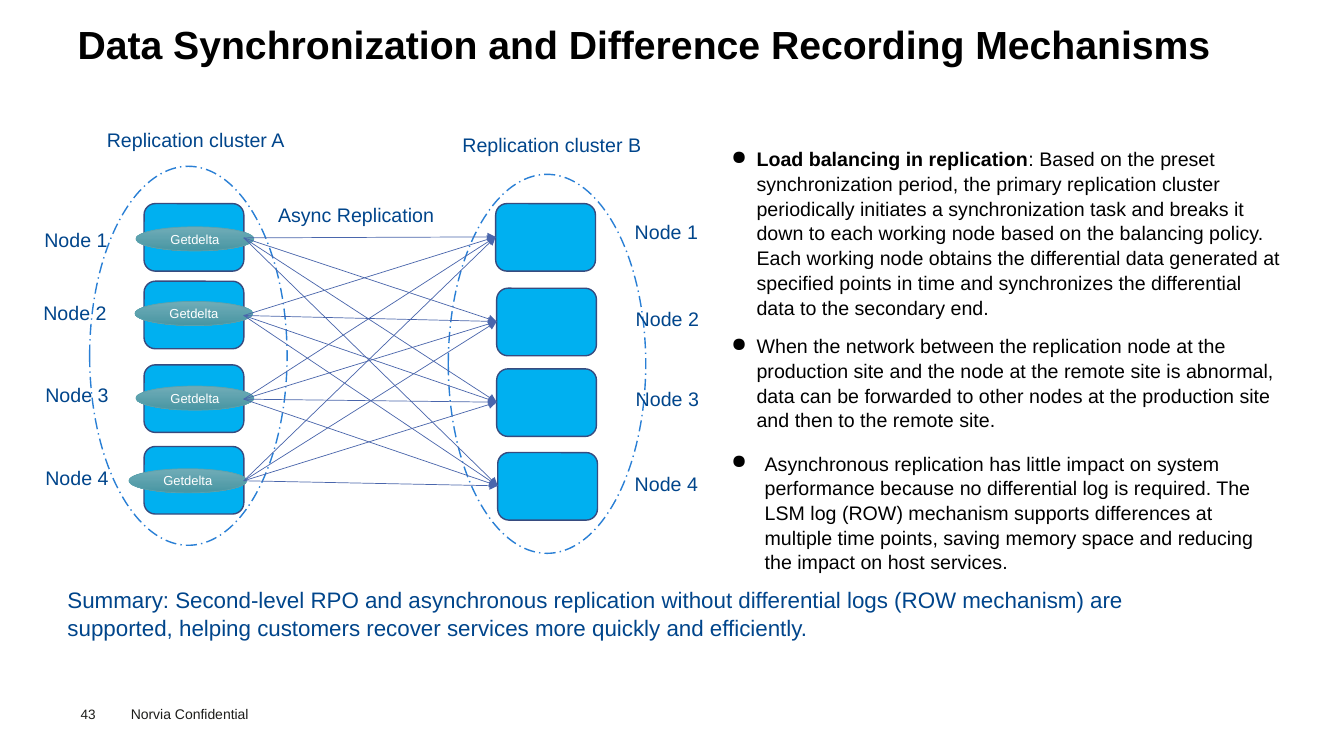
from itertools import product

from lxml.etree import SubElement
from pptx import Presentation
from pptx.dml.color import RGBColor
from pptx.enum.dml import MSO_LINE
from pptx.enum.shapes import MSO_CONNECTOR, MSO_SHAPE
from pptx.enum.text import MSO_ANCHOR, PP_ALIGN
from pptx.oxml.ns import qn
from pptx.util import Inches, Pt

BLACK, WHITE, NAVY, GREY = "000000", "FFFFFF", "00458B", "1D1D1B"
LABEL_INSETS = (0.16, 0.08, 0.16, 0.08)


def rgb(value):
    return RGBColor.from_string(value)


class SlideBuilder:
    font = "Arial"

    def __init__(self, slide):
        self.s = slide

    def add_runs(self, p, runs, size, color):
        """Add (text, bold) runs to a paragraph."""
        for text, bold in runs:
            r = p.add_run()
            r.text = text
            style = {"name": self.font, "size": Pt(size), "bold": bold}
            for key, value in style.items():
                setattr(r.font, key, value)
            r.font.color.rgb = rgb(color)

    def frame(self, tf, insets, wrap=True, anchor=MSO_ANCHOR.TOP):
        style = {"word_wrap": wrap, "vertical_anchor": anchor}
        sides = ("left", "top", "right", "bottom")
        style.update({f"margin_{side}": Inches(v) for side, v in zip(sides, insets)})
        for key, value in style.items():
            setattr(tf, key, value)

    def text(self, box, text, size, color, insets=LABEL_INSETS, bold=False, spacing=None):
        tf = self.s.shapes.add_textbox(*map(Inches, box)).text_frame
        self.frame(tf, insets)
        p = tf.paragraphs[0]
        p.line_spacing = spacing
        self.add_runs(p, [(text, bold)], size, color)

    def label(self, x, y, width, text):
        self.text((x, y, width, 0.35), text, 14, NAVY, spacing=0.8)

    def bullets(self, box, items, size, color):
        tf = self.s.shapes.add_textbox(*map(Inches, box)).text_frame
        self.frame(tf, (0.13, 0.07, 0.13, 0.07))
        for i, (indent, before, runs) in enumerate(items):
            p = tf.add_paragraph() if i else tf.paragraphs[0]
            pPr = p._p.get_or_add_pPr()
            pPr.set("marL", str(Inches(indent)))
            pPr.set("indent", str(-Inches(indent)))
            SubElement(pPr, qn("a:buChar")).set("char", "●")
            p.line_spacing = 1.05
            p.space_before = Pt(before)
            self.add_runs(p, runs, size, color)

    def shape(self, kind, box, fill, line, width, dash=None):
        sp = self.s.shapes.add_shape(kind, *map(Inches, box))
        sp.shadow.inherit = False
        if isinstance(fill, str):
            sp.fill.solid()
            sp.fill.fore_color.rgb = rgb(fill)
        else:
            sp.fill.gradient()
            sp.fill.gradient_angle = 270
            for stop, color in zip(sp.fill.gradient_stops, fill):
                stop.color.rgb = rgb(color)
        sp.line.color.rgb = rgb(line)
        sp.line.width = Pt(width)
        if dash:
            sp.line.dash_style = dash
        return sp

    def pill(self, box, text):
        sp = self.shape(MSO_SHAPE.OVAL, box, ("70ACB7", "4896A3"), "5AA2AE", 0.5)
        tf = sp.text_frame
        self.frame(tf, (0, 0, 0, 0), wrap=False, anchor=MSO_ANCHOR.MIDDLE)
        p = tf.paragraphs[0]
        p.alignment = PP_ALIGN.CENTER
        self.add_runs(p, [(text, False)], 9.3, WHITE)

    def arrow(self, start, end):
        cxn = self.s.shapes.add_connector(
            MSO_CONNECTOR.STRAIGHT, *map(Inches, (*start, *end)))
        cxn.line.color.rgb = rgb("4A66AC")
        cxn.line.width = Pt(0.5)
        spPr = cxn._element.spPr
        SubElement(spPr.find(qn("a:ln")), qn("a:tailEnd")).set("type", "triangle")
        SubElement(spPr, qn("a:effectLst"))


def main():
    prs = Presentation()
    prs.slide_width, prs.slide_height = Inches(13.34), Inches(7.5)
    b = SlideBuilder(prs.slides.add_slide(prs.slide_layouts[6]))

    # Title and footer
    b.text((0.77, 0.15, 12.29, 0.53),
           "Data Synchronization and Difference Recording Mechanisms",
           28, BLACK, (0, 0.05, 0.1, 0.05), bold=True)
    b.text((1.2, 6.95, 1.6, 0.27), "Norvia Confidential", 10, GREY, (0.1, 0.05, 0.1, 0.05))
    b.text((0.8, 7, 0.55, 0.16), "43", 9.7, GREY, (0, 0, 0, 0))

    # Explanation
    b.bullets((7.13, 1.38, 5.72, 4.45), [
        (0.25, 0, [
            ("Load balancing in replication", True),
            (": Based on the preset synchronization period, the primary replication "
             "cluster periodically initiates a synchronization task and breaks it down "
             "to each working node based on the balancing policy. Each working node "
             "obtains the differential data generated at specified points in time and "
             "synchronizes the differential data to the secondary end.", False)]),
        (0.25, 10, [
            ("When the network between the replication node at the production site and "
             "the node at the remote site is abnormal, data can be forwarded to other "
             "nodes at the production site and then to the remote site.", False)]),
        (0.33, 13.3, [
            ("Asynchronous replication has little impact on system performance because "
             "no differential log is required. The LSM log (ROW) mechanism supports "
             "differences at multiple time points, saving memory space and reducing the "
             "impact on host services.", False)]),
    ], 14, BLACK)

    # Cluster outlines
    for x, y in ((4.45, 1.73), (0.89, 1.65)):
        b.shape(MSO_SHAPE.OVAL, (x, y, 1.96, 3.76), WHITE, "297FD5", 1,
                MSO_LINE.LONG_DASH_DOT)

    # Nodes: left and top of each box
    nodes_a = [(1.43, 2.02), (1.43, 2.79), (1.43, 3.62), (1.43, 4.43)]
    nodes_b = [(4.92, 2.02), (4.93, 2.86), (4.93, 3.66), (4.94, 4.49)]
    for x, y in nodes_a + nodes_b:
        b.shape(MSO_SHAPE.ROUNDED_RECTANGLE, (x, y, 0.99, 0.67), "00B0F0", "374B7F", 1)
    for x, y in ((1.35, 2.25), (1.34, 2.99), (1.35, 3.83), (1.28, 4.65)):
        b.pill((x, y, 1.17, 0.24), "Getdelta")

    # Labels
    labels_a = [(0.28, 2.23), (0.27, 2.95), (0.29, 3.76), (0.29, 4.59)]
    labels_b = [(6.14, 2.15), (6.15, 3.01), (6.15, 3.8), (6.14, 4.65)]
    for labels in (labels_a, labels_b):
        for number, (x, y) in enumerate(labels, 1):
            b.label(x, y, 0.99, f"Node {number}")
    b.label(0.9, 1.23, 2.12, "Replication cluster A")
    b.label(4.43, 1.28, 2.12, "Replication cluster B")
    b.label(2.6, 1.98, 1.89, "Async Replication")

    # Every node of cluster A replicates to every node of cluster B
    starts = [(x + 0.99, y + 0.34) for x, y in nodes_a]
    ends = [(x, y + 0.33) for x, y in nodes_b]
    for start, end in product(starts, ends):
        b.arrow(start, end)

    # Summary
    b.text((0.51, 5.72, 11.79, 0.7),
           "Summary: Second-level RPO and asynchronous replication without differential "
           "logs (ROW mechanism) are supported, helping customers recover services more "
           "quickly and efficiently.", 16, NAVY, spacing=1.05)

    prs.save("out.pptx")


if __name__ == "__main__":
    main()
